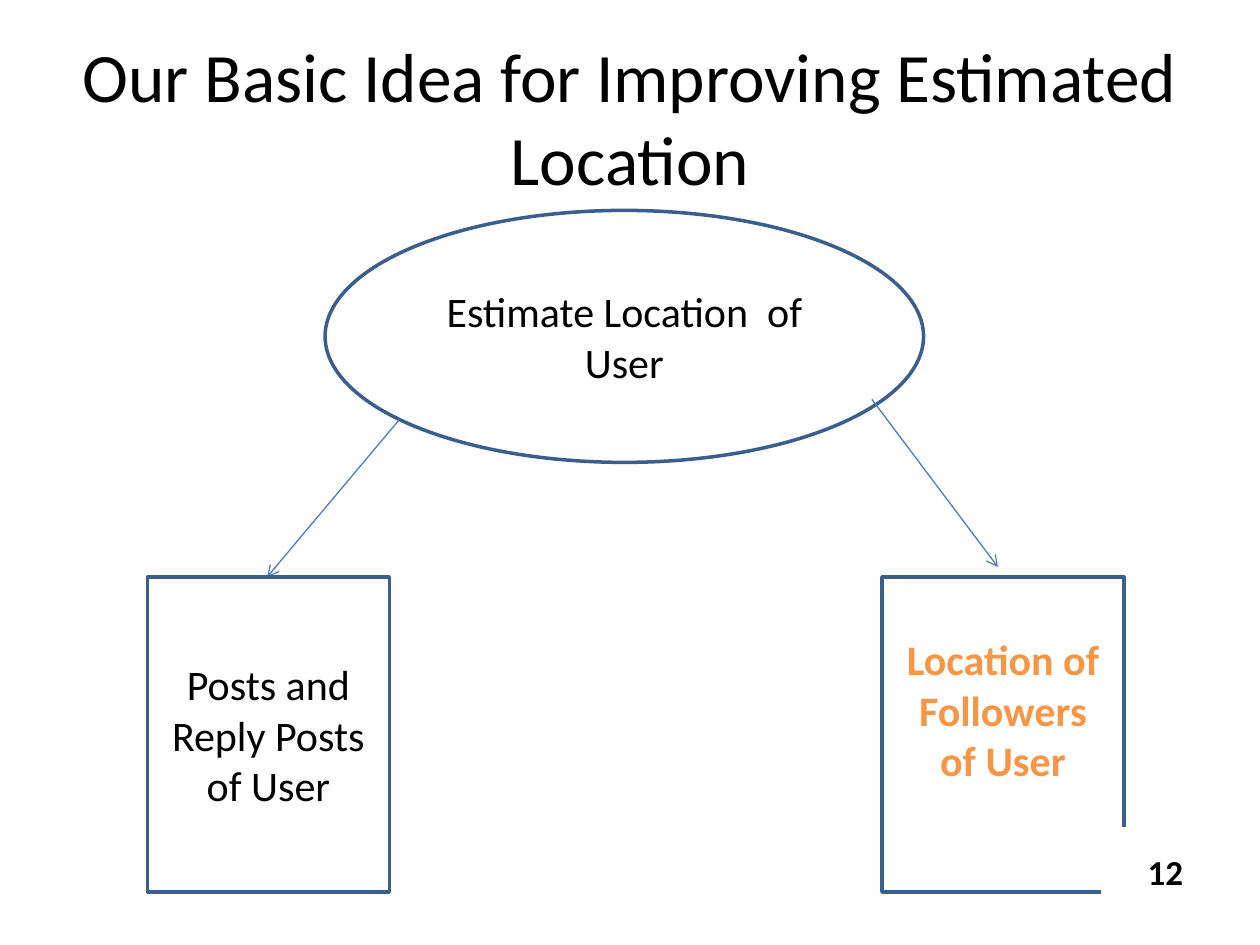
from dataclasses import dataclass

from lxml import etree
from pptx import Presentation
from pptx.dml.color import RGBColor
from pptx.enum import shapes, text
from pptx.oxml.ns import qn
from pptx.util import Inches, Pt


@dataclass(frozen=True)
class Theme:
    font: str = "Calibri"
    ink: str = "000000"
    paper: str = "FFFFFF"
    outline: str = "3A5F8C"
    arrow: str = "4B7EBC"
    accent: str = "F79646"
    title_pt: float = 39.6
    body_pt: float = 24
    number_pt: float = 20
    outline_pt: float = 2
    arrow_pt: float = 0.75


THEME = Theme()


@dataclass(frozen=True)
class Node:
    box: tuple[float, float, float, float]
    lines: tuple[str, ...]
    kind: shapes.MSO_SHAPE = shapes.MSO_SHAPE.RECTANGLE
    color: str = THEME.ink
    outline: str = THEME.outline
    size: float = THEME.body_pt
    bold: bool = False
    bottom_inset: float = 0.05


@dataclass(frozen=True)
class Arrow:
    start: tuple[float, float]
    end: tuple[float, float]


BOX_TOP, BOX_W, BOX_H = 4.58, 1.92, 2.5

ESTIMATE = Node((2.58, 1.67, 4.75, 2), ("Estimate Location  of User",),
                shapes.MSO_SHAPE.OVAL)
POSTS = Node((1.17, BOX_TOP, BOX_W, BOX_H), ("Posts and Reply Posts of User",))
FOLLOWERS = Node((7, BOX_TOP, BOX_W, BOX_H), ("Location of Followers", "of User"),
                 color=THEME.accent, bold=True, bottom_inset=0.45)
PAGE_NUMBER = Node((8.75, 6.58, 1, 0.67), ("12",), outline=THEME.paper,
                   size=THEME.number_pt, bold=True)
TO_POSTS = Arrow((3.17, 3.33), (2.12, BOX_TOP))
TO_FOLLOWERS = Arrow((6.92, 3.17), (7.92, 4.5))


def rgb(value: str) -> RGBColor:
    return RGBColor.from_string(value)


def write(tf, lines: tuple[str, ...], size: float, color: str, bold: bool = False) -> None:
    """Fill a text frame with centred paragraphs, one per line."""
    tf.word_wrap = True
    tf.vertical_anchor = text.MSO_ANCHOR.MIDDLE
    for i, line in enumerate(lines):
        p = tf.add_paragraph() if i else tf.paragraphs[0]
        p.alignment = text.PP_ALIGN.CENTER
        r = p.add_run()
        r.text = line
        r.font.name = THEME.font
        r.font.size = Pt(size)
        r.font.bold = bold
        r.font.color.rgb = rgb(color)


def add_title(slide, title: str) -> None:
    sp = slide.shapes.add_textbox(Inches(0.5), Inches(0.3), Inches(9), Inches(1.25))
    write(sp.text_frame, (title,), THEME.title_pt, THEME.ink)


def add_node(slide, node: Node) -> None:
    sp = slide.shapes.add_shape(node.kind, *map(Inches, node.box))
    sp.shadow.inherit = False
    sp.fill.solid()
    sp.fill.fore_color.rgb = rgb(THEME.paper)
    sp.line.color.rgb = rgb(node.outline)
    sp.line.width = Pt(THEME.outline_pt)
    sp.text_frame.margin_bottom = Inches(node.bottom_inset)
    write(sp.text_frame, node.lines, node.size, node.color, node.bold)


def add_arrow(slide, arrow: Arrow) -> None:
    cxn = slide.shapes.add_connector(shapes.MSO_CONNECTOR.STRAIGHT,
                                     *map(Inches, arrow.start + arrow.end))
    cxn.line.color.rgb = rgb(THEME.arrow)
    cxn.line.width = Pt(THEME.arrow_pt)
    etree.SubElement(cxn.line._get_or_add_ln(), qn("a:tailEnd"), type="arrow")
    etree.SubElement(cxn._element.spPr, qn("a:effectLst"))


def main() -> None:
    prs = Presentation()
    prs.slide_width, prs.slide_height = Inches(10), Inches(7.5)
    slide = prs.slides.add_slide(prs.slide_layouts[6])
    add_title(slide, "Our Basic Idea for Improving Estimated Location")
    add_node(slide, ESTIMATE)
    add_arrow(slide, TO_POSTS)
    add_node(slide, POSTS)
    add_arrow(slide, TO_FOLLOWERS)
    add_node(slide, FOLLOWERS)
    add_node(slide, PAGE_NUMBER)
    prs.save("out.pptx")


if __name__ == "__main__":
    main()
